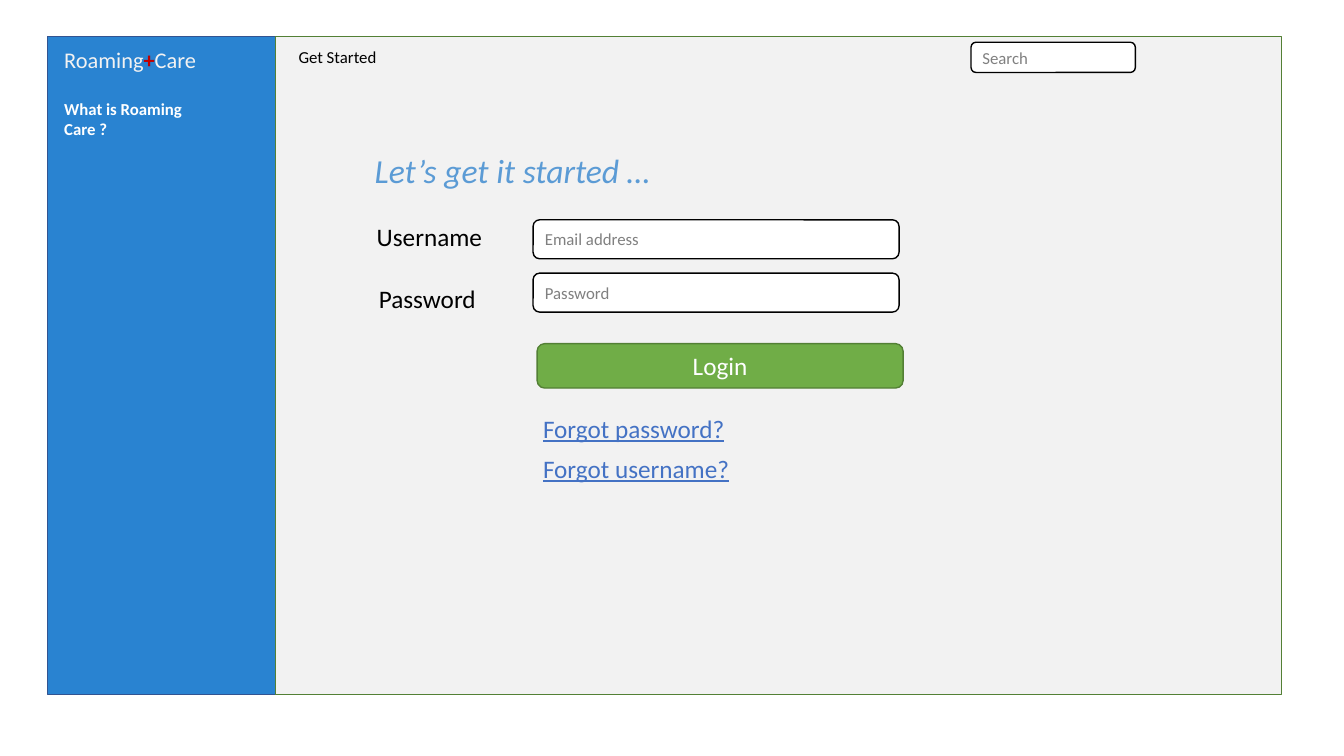
from pptx import Presentation
from pptx.dml.color import RGBColor
from pptx.enum import shapes, text
from pptx.util import Pt

WHITE = RGBColor(0xFF, 0xFF, 0xFF)
BLACK = RGBColor(0x00, 0x00, 0x00)
PALE = RGBColor(0xF2, 0xF2, 0xF2)
GREY = RGBColor(0x80, 0x80, 0x80)
RED = RGBColor(0xC0, 0x00, 0x00)
SIDEBAR_BLUE = RGBColor(0x29, 0x83, 0xD1)
SIDEBAR_EDGE = RGBColor(0x32, 0x54, 0x91)
HEADING_BLUE = RGBColor(0x5B, 0x9B, 0xD5)
LINK_BLUE = RGBColor(0x44, 0x72, 0xC4)
GREEN = RGBColor(0x70, 0xAD, 0x47)
GREEN_EDGE = RGBColor(0x53, 0x80, 0x35)

RECTANGLE = shapes.MSO_SHAPE.RECTANGLE
ROUNDED = shapes.MSO_SHAPE.ROUNDED_RECTANGLE


def style_run(run, size, color, bold=False, italic=False, underline=False):
    font = run.font
    font.name = "Calibri"
    font.size = Pt(size)
    font.color.rgb = color
    font.bold, font.italic, font.underline = bold, italic, underline


def add_panel(slide, box, fill, edge, kind=RECTANGLE):
    shape = slide.shapes.add_shape(kind, *map(Pt, box))
    shape.shadow.inherit = False
    shape.fill.solid()
    shape.fill.fore_color.rgb = fill
    shape.line.color.rgb = edge
    shape.line.width = Pt(1)
    return shape


def add_label(slide, box, words, size, color, **style):
    label = slide.shapes.add_textbox(*map(Pt, box))
    label.text_frame.word_wrap = True
    paragraph = label.text_frame.paragraphs[0]
    paragraph.text = words
    style_run(paragraph.runs[0], size, color, **style)
    return paragraph


def add_control(slide, box, words, size=12, color=GREY, fill=WHITE, edge=BLACK,
                alignment=text.PP_ALIGN.LEFT):
    """A rounded input field or button with its caption."""
    control = add_panel(slide, box, fill, edge, ROUNDED)
    frame = control.text_frame
    frame.text = words
    frame.vertical_anchor = text.MSO_ANCHOR.MIDDLE
    paragraph = frame.paragraphs[0]
    paragraph.alignment = alignment
    style_run(paragraph.runs[0], size, color)


def draw_sidebar(slide, left, top, width, height):
    add_panel(slide, (left, top, width, height), SIDEBAR_BLUE, SIDEBAR_EDGE)
    # Site name with a red plus sign
    name = add_label(slide, (left + 5, top + 3.6, 156.2, 26.6), "Roaming", 16, PALE)
    for words, color, bold in (("+", RED, True), ("Care", PALE, False)):
        run = name.add_run()
        run.text = words
        style_run(run, 16, color, bold)
    # Menu entry
    add_label(slide, (left + 5, top + 41, 112.3, 36), "What is Roaming Care ?",
              12, WHITE, bold=True)


def draw_main_panel(slide, left, top, width, height):
    add_panel(slide, (left, top, width, height), PALE, GREEN_EDGE)
    # Top bar
    add_label(slide, (left + 9.4, top + 4.3, 112.3, 21.6), "Get Started", 12, BLACK)
    add_control(slide, (left + 496.8, top + 4.3, 117.4, 21.6), "Search")


def draw_login_form(slide, left, top, width):
    control_left = left + 120.2
    control_width = width - 123.1
    add_label(slide, (left, top, 314, 36), "Let’s get it started …", 24,
              HEADING_BLUE, italic=True)

    # Captions and their input fields
    for caption, indent, caption_y, hint, field_y in (
            ("Username", 1.4, 51.1, "Email address", 53.3),
            ("Password", 2.9, 95, "Password", 91.4)):
        add_label(slide, (left + indent, top + caption_y, 98, 28.8), caption, 18, BLACK)
        add_control(slide, (control_left, top + field_y, control_width, 27.8), hint)

    # Button
    add_control(slide, (left + 123.1, top + 141.8, control_width, 31.7), "Login", 18,
                WHITE, GREEN, GREEN_EDGE, text.PP_ALIGN.CENTER)

    # Recovery links
    for row, words in enumerate(("Forgot password?", "Forgot username?")):
        add_label(slide, (control_left, top + 187.9 + 28.4 * row, 172, 28.8), words,
                  18, LINK_BLUE, underline=True)


def main():
    presentation = Presentation()
    presentation.slide_width, presentation.slide_height = Pt(960), Pt(540)
    slide = presentation.slides.add_slide(presentation.slide_layouts[6])
    draw_sidebar(slide, 33.8, 25.9, 163.2, 470.2)
    draw_main_panel(slide, 196.8, 25.9, 718.4, 470.2)
    draw_login_form(slide, 260.6, 103.7, 384.5)
    presentation.save("out.pptx")


if __name__ == "__main__":
    main()
